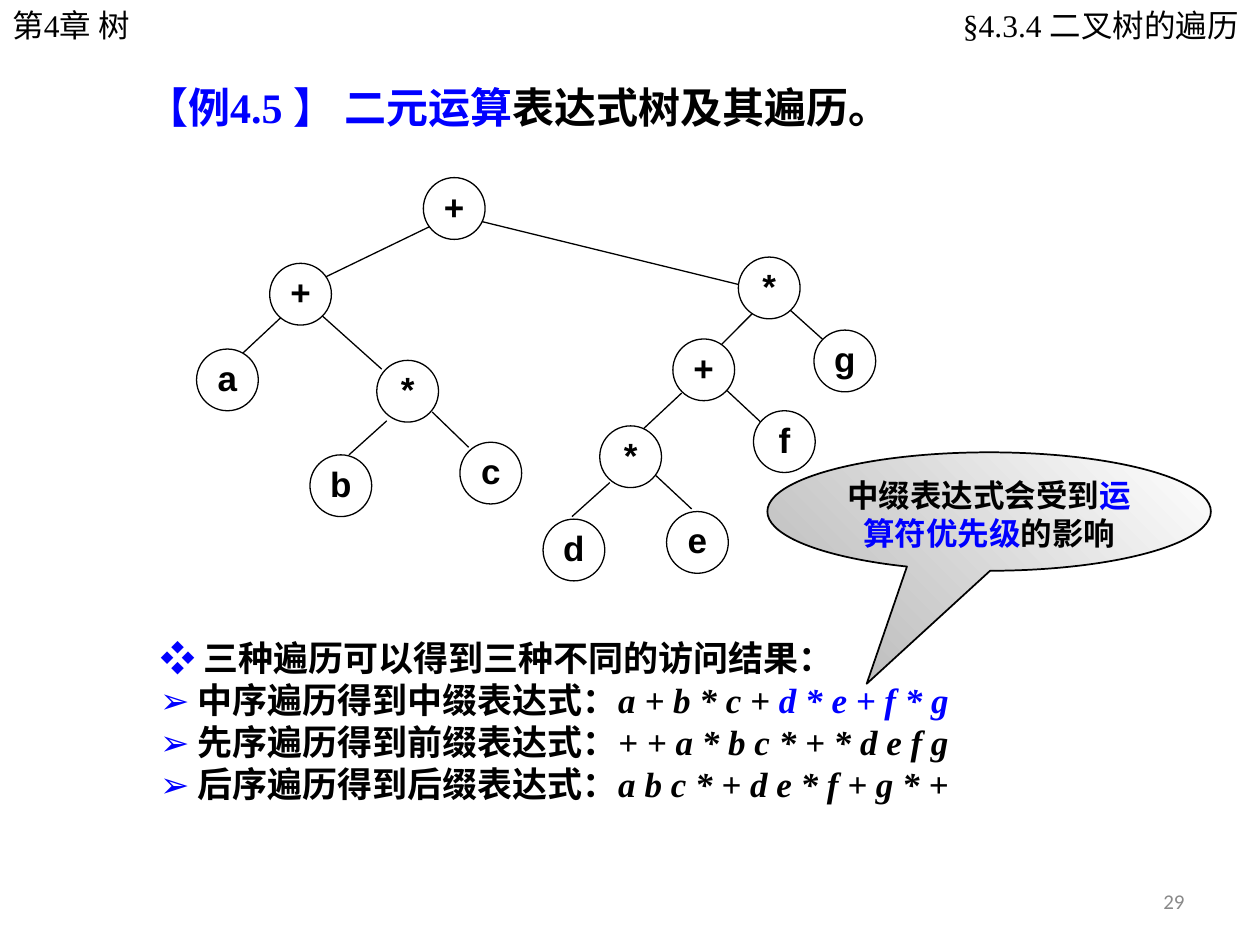
from lxml.etree import SubElement
from pptx import Presentation
from pptx.dml.color import RGBColor
from pptx.enum.shapes import MSO_CONNECTOR as Connector, MSO_SHAPE as Shape
from pptx.enum.text import MSO_ANCHOR as Anchor, MSO_AUTO_SIZE as AutoSize, PP_ALIGN as Align
from pptx.oxml.ns import qn
from pptx.util import Inches, Pt

COLORS = {"black": "000000", "blue": "0000FF", "white": "FFFFFF", "silver": "C0C0C0", "gray": "898989"}
SERIF, SANS = "Times New Roman", "Arial"
NODE_SIZE = 0.49

NODES = [
    ("+", 3.36, 1.41), ("+", 2.14, 2.09), ("*", 5.86, 2.04), ("a", 1.56, 2.77),
    ("*", 2.99, 2.86), ("b", 2.46, 3.61), ("c", 3.65, 3.51), ("+", 5.34, 2.69),
    ("g", 6.46, 2.62), ("*", 4.76, 3.38), ("f", 5.98, 3.26), ("d", 4.31, 4.12),
    ("e", 5.29, 4.06),
]
EDGES = [
    (3.47, 1.77, 2.58, 2.2), (3.79, 1.75, 5.87, 2.26), (2.23, 2.52, 1.93, 2.8),
    (2.55, 2.5, 3.03, 2.93), (3.07, 3.34, 2.77, 3.61), (3.43, 3.27, 3.72, 3.55),
    (5.97, 2.49, 5.71, 2.75), (6.27, 2.46, 6.57, 2.73), (5.41, 3.12, 5.11, 3.4),
    (5.77, 3.1, 6.07, 3.38), (4.84, 3.83, 4.54, 4.1), (5.19, 3.76, 5.49, 4.04),
]
TRAVERSALS = [
    ("中序遍历得到中缀表达式：", [("a + b * c + ", "black"), ("d * e + f * g", "blue")]),
    ("先序遍历得到前缀表达式：", [("+ + a * b c * + * d e f g", "black")]),
    ("后序遍历得到后缀表达式：", [("a b c * + d e * f + g * +", "black")]),
]


def rgb(name):
    """Return the named palette colour."""
    return RGBColor.from_string(COLORS[name])


def place(box, left, top, width, height):
    """Set the position and size of a box in inches."""
    box.left, box.top = Inches(left), Inches(top)
    box.width, box.height = Inches(width), Inches(height)


def prepare_frame(box, anchor=Anchor.TOP):
    """Make the text of a box wrap at a fixed size and return its frame."""
    frame = box.text_frame
    frame.word_wrap = True
    frame.auto_size = AutoSize.NONE
    frame.vertical_anchor = anchor
    return frame


def write(para, spans, size, font=SERIF, bold=False, align=Align.LEFT):
    """Fill a paragraph with (text, colour) spans and return their runs."""
    para.alignment = align
    para.space_before = Pt(0)
    para.font.size, para.font.name, para.font.bold = Pt(size), font, bold
    runs = []
    for text, color in spans:
        span = para.add_run()
        span.text = text
        span.font.color.rgb = rgb(color)
        runs.append(span)
    return runs


def add_label(page, place_at, text, size, font=SERIF, color="black", align=Align.LEFT, anchor=Anchor.TOP):
    """Add a one-line text box."""
    box = page.shapes.add_textbox(*map(Inches, place_at))
    frame = prepare_frame(box, anchor)
    write(frame.paragraphs[0], [(text, color)], size, font, align=align)
    return frame


def add_edge(page, ends):
    """Draw a branch of the tree."""
    edge = page.shapes.add_connector(Connector.STRAIGHT, *map(Inches, ends))
    edge.line.color.rgb = rgb("black")
    edge.line.width = Pt(0.75)
    SubElement(edge.element.spPr, qn("a:effectLst"))


def add_node(page, text, left, top):
    """Draw a round tree node with its symbol."""
    node = page.shapes.add_shape(Shape.OVAL, *map(Inches, (left, top, NODE_SIZE, NODE_SIZE)))
    node.shadow.inherit = False
    node.fill.solid()
    node.fill.fore_color.rgb = rgb("white")
    node.line.color.rgb = rgb("black")
    node.line.width = Pt(0.75)
    frame = prepare_frame(node, Anchor.MIDDLE)
    frame.margin_left = frame.margin_right = frame.margin_top = 0
    frame.margin_bottom = Inches(0.04)
    write(frame.paragraphs[0], [(text, "black")], 20, SANS, True, Align.CENTER)


def add_callout(page):
    """Draw the shaded speech bubble about operator precedence."""
    callout = page.shapes.add_shape(Shape.OVAL_CALLOUT, *map(Inches, (6.09, 3.59, 3.52, 0.94)))
    callout.adjustments[0], callout.adjustments[1] = -0.276, 1.454
    callout.shadow.inherit = False
    callout.fill.gradient()
    callout.fill.gradient_angle = 45
    for stop, color, position in zip(callout.fill.gradient_stops, ("silver", "white"), (0, 1)):
        stop.color.rgb = rgb(color)
        stop.position = position
    callout.line.color.rgb = rgb("black")
    callout.line.width = Pt(1)
    spans = [("中缀表达式会受到", "black"), ("运算符优先级", "blue"), ("的影响", "black")]
    write(prepare_frame(callout).paragraphs[0], spans, 18, bold=True, align=Align.CENTER)


def fill_title(title):
    """Write the example's title."""
    place(title, 1.06, 0.6, 6.22, 0.5)
    spans = [("【例4.5 】 二元运算", "blue"), ("表达式树及其遍历。", "black")]
    write(prepare_frame(title).paragraphs[0], spans, 24, bold=True)


def fill_results(body):
    """List the results of the three traversals."""
    place(body, 1.17, 5, 7.19, 1.44)
    frame = prepare_frame(body)
    lines = [("❖ ", "三种遍历可以得到三种不同的访问结果：", [])]
    lines += [("➢ ", name, expression) for name, expression in TRAVERSALS]
    for index, (mark, name, expression) in enumerate(lines):
        para = frame.add_paragraph() if index else frame.paragraphs[0]
        settings = para._p.get_or_add_pPr()
        settings.set("marL", "0")
        settings.set("indent", "0")
        SubElement(settings, qn("a:buNone"))
        spans = [(mark, "blue"), (name, "black"), *expression]
        runs = write(para, spans, 20, bold=True)
        runs[0].font.name = SANS
        for span in runs[2:]:
            span.font.italic = True


def main():
    """Build the expression tree slide."""
    deck = Presentation()
    deck.slide_width, deck.slide_height = Inches(10), Inches(7.5)
    page = deck.slides.add_slide(deck.slide_layouts[1])
    fill_title(page.shapes.title)
    fill_results(page.placeholders[1])
    add_label(page, (0, 0, 2.09, 0.4), "第4章 树", 18)
    header = add_label(page, (6.18, 0, 3.81, 0.4), "§4.3.4 二叉树的遍历", 18, align=Align.RIGHT)
    header.margin_left, header.margin_right = Inches(0.12), Inches(0.16)
    add_label(page, (7.17, 6.95, 2.33, 0.4), "29", 12, "Calibri", "gray", Align.RIGHT, Anchor.MIDDLE)
    for ends in EDGES:
        add_edge(page, ends)
    for node in NODES:
        add_node(page, *node)
    add_callout(page)
    deck.save("out.pptx")


if __name__ == "__main__":
    main()
